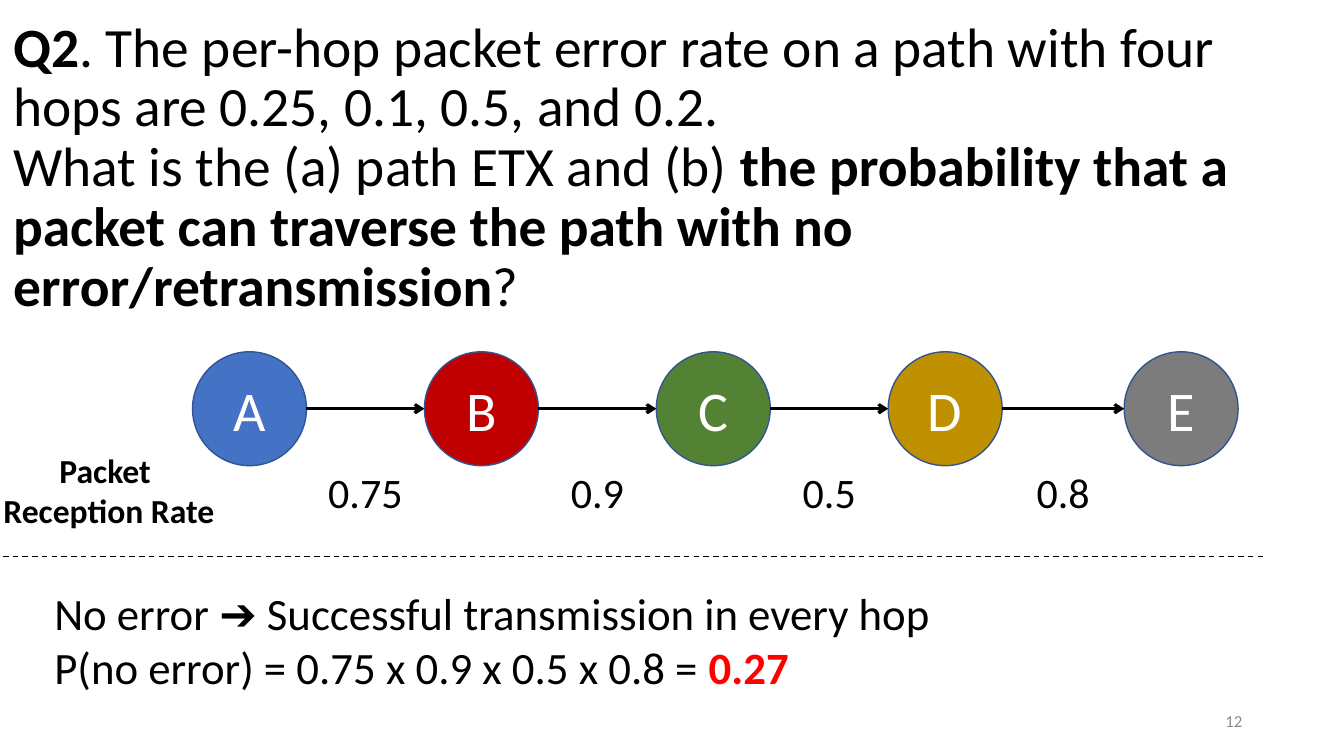
from lxml.etree import SubElement
from pptx import Presentation
from pptx.dml.color import RGBColor
from pptx.enum.dml import MSO_LINE_DASH_STYLE as Dash
from pptx.enum.shapes import MSO_CONNECTOR as Connector, MSO_SHAPE as Shape
from pptx.enum.text import MSO_ANCHOR as Anchor, MSO_AUTO_SIZE as AutoSize, PP_ALIGN as Align
from pptx.oxml.ns import qn
from pptx.util import Inches, Pt

WIDTH, HEIGHT = 13.33, 7.5
COLORS = {"ink": "000000", "paper": "FFFFFF", "page": "8C8C8C", "answer": "FF0000",
          "outline": "325491", "A": "4472C4", "B": "C00000", "C": "548235",
          "D": "BF9000", "E": "7C7C7C"}
NODE_LEFTS = {"A": 0, "B": 2.3, "C": 4.6, "D": 6.9, "E": 9.24}
RECEPTION_RATES = ["0.75", "0.9", "0.5", "0.8"]


def color(name):
    return RGBColor.from_string(COLORS[name])


def write(shape, paragraphs, size, ink="ink", align=Align.LEFT, anchor=Anchor.TOP,
          wrap=True, spacing=1.0):
    """Fill a shape with paragraphs, each a list of (text, bold, color name) runs."""
    frame = shape.text_frame
    frame_format = {"auto_size": AutoSize.NONE, "word_wrap": wrap, "vertical_anchor": anchor}
    for name, value in frame_format.items():
        setattr(frame, name, value)
    for index, runs in enumerate(paragraphs):
        paragraph = frame.add_paragraph() if index else frame.paragraphs[0]
        paragraph.alignment, paragraph.line_spacing = align, spacing
        for text, bold, run_color in runs:
            for number, line in enumerate(text.split("\n")):
                if number:
                    paragraph.add_line_break()
                run = paragraph.add_run()
                run.text = line
                font_format = {"name": "Calibri", "size": Pt(size), "bold": bold}
                for name, value in font_format.items():
                    setattr(run.font, name, value)
                run.font.color.rgb = color(run_color or ink)


def add_text(slide, box, paragraphs, size, **text_format):
    shape = slide.shapes.add_textbox(*map(Inches, box))
    write(shape, paragraphs, size, **text_format)


def add_line(slide, left, right, y, width, dash=None, arrow=False):
    line = slide.shapes.add_connector(Connector.STRAIGHT, Inches(left), Inches(y),
                                      Inches(right), Inches(y))
    line.line.color.rgb = color("ink")
    line.line.width = Pt(width)
    if dash:
        line.line.dash_style = dash
    if arrow:
        SubElement(line.line._get_or_add_ln(), qn("a:tailEnd"), type="arrow")
    SubElement(line._element.spPr, qn("a:effectLst"))


def add_question(slide, box):
    title = slide.shapes.title
    for name, value in zip(("left", "top", "width", "height"), box):
        setattr(title, name, Inches(value))
    write(title, [[
        ("Q2", True, None),
        (". The per-hop packet error rate on a path with four hops are 0.25, 0.1, 0.5, "
         "and 0.2. \nWhat is the (a) path ETX and (b) ", False, None),
        ("the probability that a packet can traverse the path with no "
         "error/retransmission", True, None),
        ("?", False, None)]], 39.6, anchor=Anchor.MIDDLE, spacing=0.9)


def add_node(slide, name, left, top, diameter):
    node = slide.shapes.add_shape(Shape.OVAL, *map(Inches, (left, top, diameter, diameter)))
    node.shadow.inherit = False
    node.fill.solid()
    node.fill.fore_color.rgb = color(name)
    node.line.color.rgb = color("outline")
    node.line.width = Pt(1)
    write(node, [[(name, False, None)]], 40, ink="paper", align=Align.CENTER,
          anchor=Anchor.MIDDLE)


def add_path(slide, left, top, diameter):
    lefts = [left + offset for offset in NODE_LEFTS.values()]
    for name, node_left in zip(NODE_LEFTS, lefts):
        add_node(slide, name, node_left, top, diameter)
    for rate, start, end in zip(RECEPTION_RATES, lefts, lefts[1:]):
        start += diameter
        add_line(slide, start, end, top + diameter / 2, 2.25, arrow=True)
        add_text(slide, (start, top + 1.09, end - start, 0.61), [[(rate, False, None)]],
                 30, align=Align.CENTER, wrap=False)
    add_text(slide, (left - 1.99, top + 0.92, 2.32, 0.91),
             [[("Packet ", True, None)], [("Reception Rate", True, None)]],
             24, align=Align.CENTER, wrap=False)


def add_answer(slide, box):
    left, top, width, height = box
    add_line(slide, 0.03, 12.56, top - 0.24, 1, dash=Dash.DASH)
    product = " x ".join(RECEPTION_RATES)
    add_text(slide, (left, top, width, height), [
        [("No error ➔ Successful transmission in every hop", False, None)],
        [(f"P(no error) = {product} = ", False, None), ("0.27", True, "answer")]], 32)


def main():
    presentation = Presentation()
    presentation.slide_width, presentation.slide_height = Inches(WIDTH), Inches(HEIGHT)
    slide = presentation.slides.add_slide(presentation.slide_layouts.get_by_name("Title Only"))
    add_question(slide, (0.03, 0.15, WIDTH - 0.03, 3.05))
    add_path(slide, 1.91, 3.49, 1.13)
    add_answer(slide, (0.44, 5.76, 9.82, 1.18))
    add_text(slide, (9.42, 6.95, 3, 0.4), [[("12", False, None)]], 12, ink="page",
             align=Align.RIGHT, anchor=Anchor.MIDDLE)
    presentation.save("out.pptx")


if __name__ == "__main__":
    main()
